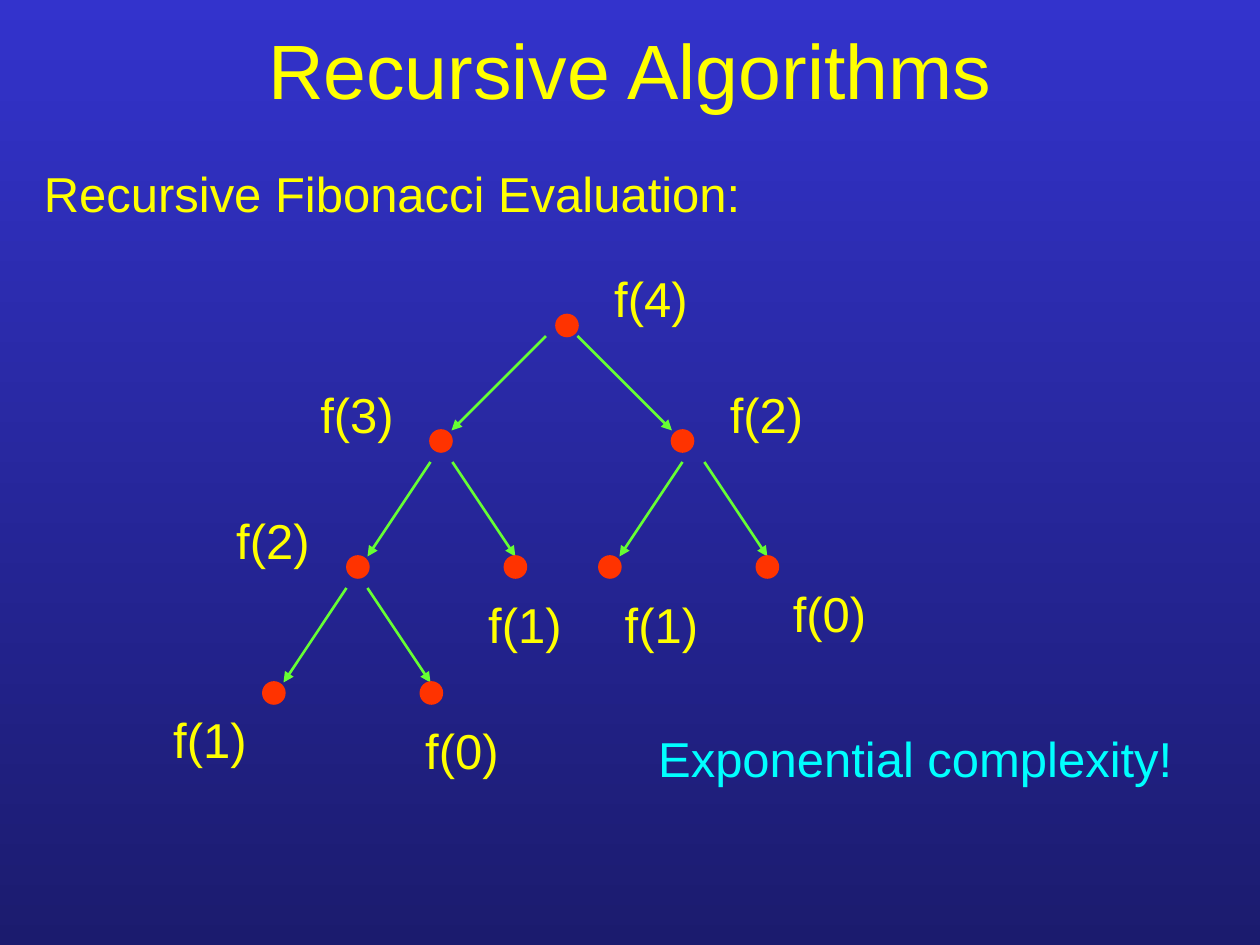
from lxml.etree import SubElement
from pptx import Presentation
from pptx.dml.color import RGBColor
from pptx.enum.shapes import MSO_CONNECTOR as CONN, MSO_SHAPE as SHAPE
from pptx.enum.text import MSO_ANCHOR as ANCHOR, PP_ALIGN as ALIGN
from pptx.oxml.ns import qn
from pptx.util import Pt

YELLOW = RGBColor(0xFF, 0xFF, 0x00)
CYAN = RGBColor(0x00, 0xFF, 0xFF)
RED = RGBColor(0xFF, 0x33, 0x00)
GREEN = RGBColor(0x66, 0xFF, 0x33)
BLUE = RGBColor(0x33, 0x33, 0xCC)
NAVY = RGBColor(0x1B, 0x1B, 0x6E)

# Call, centre of its dot, left and top of its label
CALLS = [
    ("f(4)", 324, 186, 336, 150),
    ("f(3)", 252, 252, 168, 216),
    ("f(2)", 390, 252, 402, 216),
    ("f(2)", 204.5, 324, 120, 288),
    ("f(1)", 294.5, 324, 264, 336),
    ("f(1)", 348.5, 324, 342, 336),
    ("f(0)", 438.5, 324, 438, 330),
    ("f(1)", 156.5, 396, 84, 402),
    ("f(0)", 246.5, 396, 228, 408),
]
# Start of the left and right arrow, their top, and how far each runs sideways
FORKS = [
    (312, 330, 192, 54),
    (246, 258.5, 264, 36),
    (390, 402.5, 264, 36),
    (198, 210, 336, 36),
]
ARROW_DROP = 54


class TreeSlide:
    font = "Arial"
    text_size = 28
    title_size = 44
    line_width = 1.5
    dot_size = 12

    def __init__(self, prs):
        self.slide = prs.slides.add_slide(prs.slide_layouts[5])

    def background(self, top, bottom):
        fill = self.slide.background.fill
        fill.gradient()
        fill.gradient_angle = 270
        for stop, color in zip(fill.gradient_stops, (top, bottom)):
            stop.color.rgb = color

    def set_text(self, sp, text, size, color, align):
        tf = sp.text_frame
        tf.word_wrap = True
        tf.text = text
        p = tf.paragraphs[0]
        p.alignment = align
        font = p.runs[0].font
        font.name, font.size = self.font, Pt(size)
        font.color.rgb = color

    def title(self, text, x, y, w, h):
        sp = self.slide.shapes.title
        sp.left, sp.top, sp.width, sp.height = Pt(x), Pt(y), Pt(w), Pt(h)
        self.set_text(sp, text, self.title_size, YELLOW, ALIGN.CENTER)
        sp.text_frame.vertical_anchor = ANCHOR.MIDDLE

    def text(self, text, x, y, w, h, color=YELLOW, align=ALIGN.LEFT, shapes=None):
        shapes = shapes or self.slide.shapes
        sp = shapes.add_textbox(Pt(x), Pt(y), Pt(w), Pt(h))
        self.set_text(sp, text, self.text_size, color, align)

    def call(self, label, cx, cy, x, y):
        """Group a dot centred on (cx, cy) with its label."""
        shapes = self.slide.shapes.add_group_shape().shapes
        d = self.dot_size
        dot = shapes.add_shape(SHAPE.FLOWCHART_CONNECTOR,
                               Pt(cx - d / 2), Pt(cy - d / 2), Pt(d), Pt(d))
        dot.shadow.inherit = False
        dot.fill.solid()
        dot.fill.fore_color.rgb = RED
        dot.line.color.rgb = RED
        dot.line.width = Pt(self.line_width)
        self.text(label, x, y, 72, 41, align=ALIGN.CENTER, shapes=shapes)

    def arrow(self, x1, y1, x2, y2):
        line = self.slide.shapes.add_connector(CONN.STRAIGHT, Pt(x1), Pt(y1), Pt(x2), Pt(y2))
        line.line.color.rgb = GREEN
        line.line.width = Pt(self.line_width)
        props = line._element.spPr
        SubElement(props.find(qn("a:ln")), qn("a:tailEnd"), type="triangle")
        SubElement(props, qn("a:effectLst"))


def main():
    prs = Presentation()
    prs.slide_width, prs.slide_height = Pt(720), Pt(540)
    s = TreeSlide(prs)
    s.background(BLUE, NAVY)
    s.title("Recursive Algorithms", 54, 12, 612, 54)
    s.text("Recursive Fibonacci Evaluation:", 18, 90, 690, 42)
    for left, right, top, run in FORKS:
        s.arrow(left, top, left - run, top + ARROW_DROP)
        s.arrow(right, top, right + run, top + ARROW_DROP)
    for call in CALLS:
        s.call(*call)
    s.text("Exponential complexity!", 369, 412.5, 339, 42, CYAN)
    prs.save("out.pptx")


if __name__ == "__main__":
    main()
